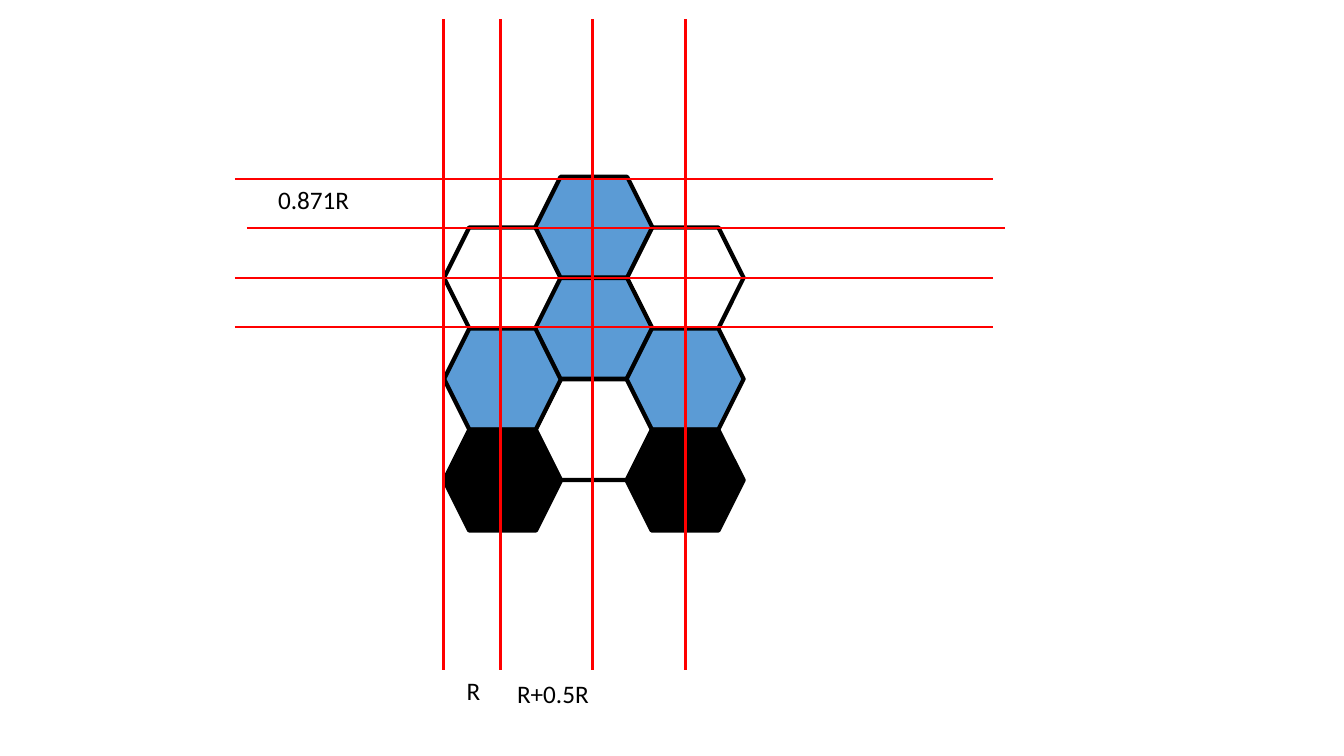
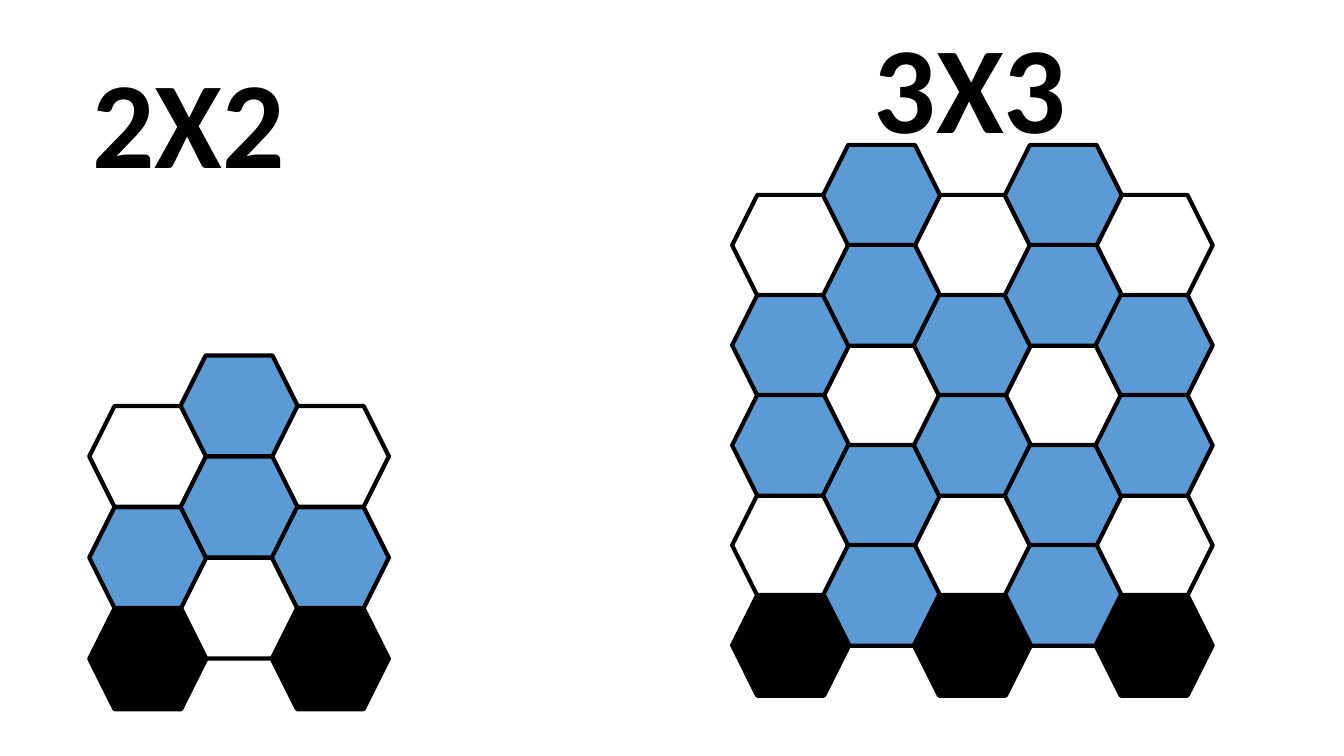
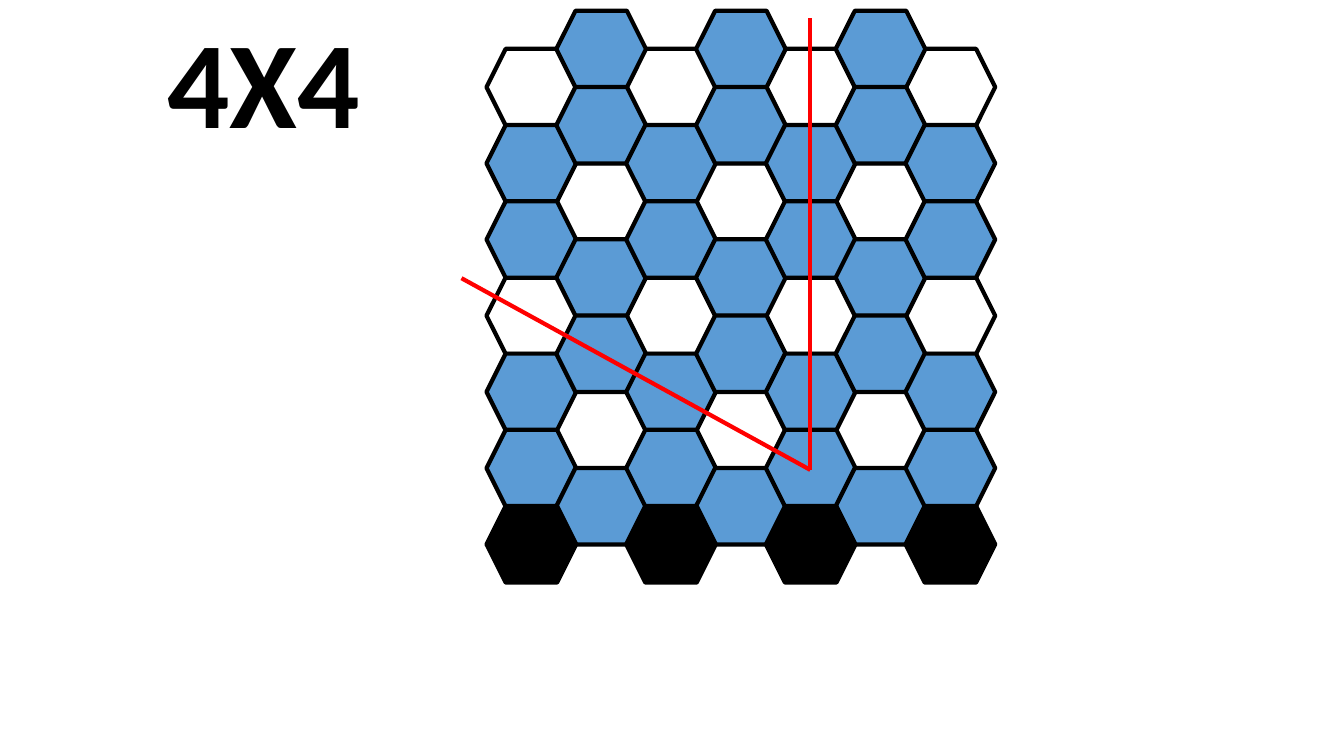
from dataclasses import dataclass

from lxml.etree import SubElement
from pptx import Presentation
from pptx.dml.color import RGBColor
from pptx.enum.shapes import MSO_CONNECTOR as Connector, MSO_SHAPE as Preset
from pptx.enum.text import MSO_ANCHOR as Anchor, MSO_AUTO_SIZE as AutoSize, PP_ALIGN as Align
from pptx.oxml.ns import qn
from pptx.util import Cm, Pt

TITLE_ONLY, BLANK = 5, 6  # layouts of the default template


@dataclass(frozen=True)
class Theme:
    font: str = "Calibri"
    ink: str = "000000"
    open_cell: str = "FFFFFF"
    wall: str = "5B9BD5"
    base: str = "000000"
    guide: str = "FF0000"
    heading_size: float = 88
    label_size: float = 18
    outline: float = 3
    thick_guide: float = 2.25
    thin_guide: float = 1.5


THEME = Theme()


@dataclass(frozen=True)
class Maze:
    """A honeycomb of 2n-1 columns and rows; lengths in centimetres."""
    n: int
    left: float
    top: float
    column_pitch: float
    row_pitch: float
    cell_width: float = 2.95
    cell_height: float = 2.54


def rgb(colour):
    return RGBColor.from_string(colour)


# Text
def write(holder, words, frame, size, bold=False):
    holder.left, holder.top, holder.width, holder.height = map(Cm, frame)
    text = holder.text_frame
    text.word_wrap = False
    text.auto_size = AutoSize.SHAPE_TO_FIT_TEXT
    text.vertical_anchor = Anchor.TOP
    line = text.paragraphs[0]
    line.alignment = Align.LEFT
    run = line.add_run()
    run.text = words
    run.font.name, run.font.size, run.font.bold = THEME.font, Pt(size), bold
    run.font.color.rgb = rgb(THEME.ink)


def new_box(slide):
    return slide.shapes.add_textbox(0, 0, 0, 0)


def add_label(slide, words, left, top, width):
    write(new_box(slide), words, (left, top, width, 1.02), THEME.label_size)


def write_heading(holder, words, left, top):
    write(holder, words, (left, top, 5.41, 4.01), THEME.heading_size, bold=True)


# Guide lines
def add_guide(slide, start, end, weight):
    guide = slide.shapes.add_connector(Connector.STRAIGHT, *map(Cm, start + end))
    guide.line.color.rgb = rgb(THEME.guide)
    guide.line.width = Pt(weight)
    SubElement(guide._element.spPr, qn("a:effectLst"))


# Honeycomb
def cell_fill(column, row, last):
    if column % 2:
        return THEME.open_cell if row % 3 == 2 else THEME.wall
    if row == last:
        return THEME.base
    return THEME.wall if row % 3 else THEME.open_cell


def add_cell(slide, maze, column, row, fill):
    rise = 0.5 if column % 2 else 0  # odd columns sit half a cell higher
    cell = slide.shapes.add_shape(
        Preset.HEXAGON,
        Cm(maze.left + column * maze.column_pitch),
        Cm(maze.top + (row - rise) * maze.row_pitch),
        Cm(maze.cell_width), Cm(maze.cell_height))
    cell.rotation = 180
    cell.shadow.inherit = False
    cell.fill.solid()
    cell.fill.fore_color.rgb = rgb(fill)
    cell.line.color.rgb = rgb(THEME.ink)
    cell.line.width = Pt(THEME.outline)


def add_maze(slide, maze):
    side = 2 * maze.n - 1
    cells = [(column, row, cell_fill(column, row, side - 1))
             for column in range(side) for row in range(side)]
    layers = (THEME.open_cell, THEME.wall, THEME.base)
    for cell in sorted(cells, key=lambda cell: layers.index(cell[2])):
        add_cell(slide, maze, *cell)


# Slides
def build_spacing(deck):
    slide = deck.slides.add_slide(deck.slide_layouts[BLANK])
    add_maze(slide, Maze(2, 11.19, 5.73, 2.3, 2.55))
    for x in (11.18, 12.62, 14.94, 17.27):
        add_guide(slide, (x, 0.48), (x, 16.89), THEME.thick_guide)
    for row, shift in enumerate((0, 0.3, 0, 0)):
        y = 4.5 + 1.25 * row
        add_guide(slide, (5.92 + shift, y), (25.02 + shift, y), THEME.thin_guide)
    add_label(slide, "R", 11.51, 16.89, 0.86)
    add_label(slide, "R+0.5R", 12.78, 16.97, 2.34)
    add_label(slide, "0.871R", 6.76, 4.52, 2.31)


def build_small_mazes(deck):
    slide = deck.slides.add_slide(deck.slide_layouts[TITLE_ONLY])
    add_maze(slide, Maze(3, 18.45, 4.91, 2.29, 2.52))
    add_maze(slide, Maze(2, 2.25, 10.23, 2.3, 2.55))
    write_heading(slide.shapes.title, "2X2", 2.08, 1.02)
    write_heading(new_box(slide), "3X3", 21.77, 0.13)


def build_large_maze(deck):
    slide = deck.slides.add_slide(deck.slide_layouts[TITLE_ONLY])
    add_maze(slide, Maze(4, 12.26, 1.23, 1.76, 1.92, 2.26, 1.93))
    write_heading(slide.shapes.title, "4X4", 3.96, 0)
    corner = (20.42, 11.84)
    for end in ((20.42, 0.46), (11.63, 7.01)):
        add_guide(slide, corner, end, THEME.outline)


def main():
    deck = Presentation()
    deck.slide_width, deck.slide_height = Cm(33.87), Cm(19.05)
    build_spacing(deck)
    build_small_mazes(deck)
    build_large_maze(deck)
    deck.save("out.pptx")


main()
